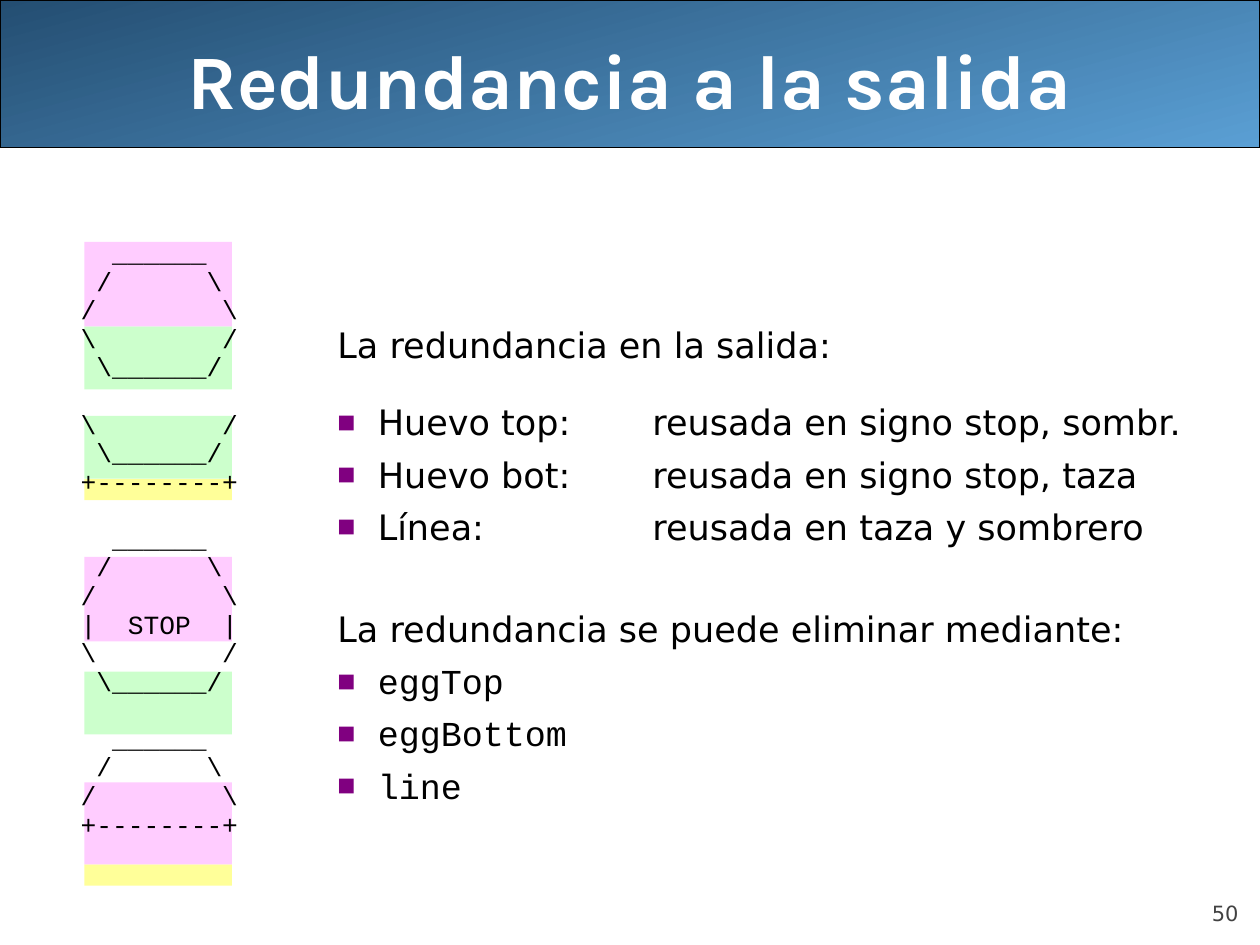
from pptx import Presentation
from pptx.dml.color import RGBColor
from pptx.enum.shapes import MSO_SHAPE as SHAPE
from pptx.enum.text import MSO_ANCHOR as ANCHOR, PP_ALIGN as ALIGN
from pptx.oxml.ns import qn
from pptx.util import Inches, Pt
from lxml import etree

SANS, MONO = "DejaVu Sans", "Courier New"
PINK, GREEN, YELLOW = "FFCCFF", "CCFFCC", "FFFF99"


def rgb(value):
    """Turn a hex string into a colour."""
    return RGBColor.from_string(value)


def add_text(p, text, size, font, color="000000", bold=False):
    """Add one formatted run to a paragraph."""
    r = p.add_run()
    r.text = text
    formats = {"size": Pt(size), "name": font, "bold": bold}
    for name, value in formats.items():
        setattr(r.font, name, value)
    r.font.color.rgb = rgb(color)


prs = Presentation()
prs.slide_width, prs.slide_height = Inches(10), Inches(7.5)
s = prs.slides.add_slide(prs.slide_layouts[5])

# Header band and title
band = s.shapes.add_shape(SHAPE.RECTANGLE, 0, 0, Inches(10), Inches(1.17))
band.shadow.inherit = False
band.fill.gradient()
band.fill.gradient_angle = 105
for stop, color in zip(band.fill.gradient_stops, ("5A9FD4", "244E72")):
    stop.color.rgb = rgb(color)
band.line.color.rgb = rgb("000000")
band.line.width = Pt(0.74)

title = s.shapes.title
title.left, title.top, title.width, title.height = (
    Inches(v) for v in (0.5, 0, 9, 1.25))
tf = title.text_frame
tf.vertical_anchor = ANCHOR.MIDDLE
tf.paragraphs[0].alignment = ALIGN.CENTER
add_text(tf.paragraphs[0], "Redundancia a la salida", 44, "Karla", "FFFFFF", True)
s.shapes._spTree.append(title._element)  # in front of the band

# Coloured marks behind the figures
marks = [
    (6.86, 0.17, YELLOW), (3.8, 0.17, YELLOW),
    (5.33, 0.5, GREEN), (3.3, 0.5, GREEN), (2.59, 0.5, GREEN),
    (4.42, 0.67, PINK), (6.21, 0.65, PINK), (1.92, 0.67, PINK),
]
for top, height, color in marks:
    sp = s.shapes.add_shape(SHAPE.RECTANGLE, Inches(0.67), Inches(top),
                            Inches(1.17), Inches(height))
    sp.shadow.inherit = False
    sp.fill.solid()
    sp.fill.fore_color.rgb = rgb(color)
    sp.line.fill.background()

# Explanation
items = [  # text, font, bulleted, space before
    ("La redundancia en la salida:", SANS, False, 0),
    ("Huevo top:\treusada en signo stop, sombr.", SANS, True, 20.1),
    ("Huevo bot:\treusada en signo stop, taza", SANS, True, 5.8),
    ("Línea:\treusada en taza y sombrero", SANS, True, 5.8),
    ("La redundancia se puede eliminar mediante:", SANS, False, 34.4),
    ("eggTop", MONO, True, 5.8),
    ("eggBottom", MONO, True, 5.8),
    ("line", MONO, True, 5.8),
]
box = s.shapes.add_textbox(Inches(2.58), Inches(2.5), Inches(7), Inches(3.86))
tf = box.text_frame
tf.word_wrap = True
tf.margin_top = Inches(0.07)
for i, (text, font, bulleted, before) in enumerate(items):
    p = tf.add_paragraph() if i else tf.paragraphs[0]
    p.space_before = Pt(before)
    add_text(p, text, 20, font)
    if bulleted:
        pPr = p._p.get_or_add_pPr()
        pPr.set("marL", str(Inches(0.32)))
        pPr.set("indent", str(-Inches(0.32)))
        color = etree.SubElement(pPr, qn("a:buClr"))
        etree.SubElement(color, qn("a:srgbClr"), val="800080")
        etree.SubElement(pPr, qn("a:buSzPct"), val="55000")
        etree.SubElement(pPr, qn("a:buFont"), typeface=SANS)
        etree.SubElement(pPr, qn("a:buChar"), char="■")
        tabs = etree.SubElement(pPr, qn("a:tabLst"))
        etree.SubElement(tabs, qn("a:tab"), pos=str(Inches(2.5)), algn="l")

# Figures drawn with characters
egg_top = ["  ______", " /      \\", "/        \\"]
egg_bottom = ["\\        /", " \\______/"]
line = ["+--------+"]
figures = [
    egg_top + egg_bottom,
    egg_bottom + line,
    egg_top + ["|  STOP  |"] + egg_bottom,
    egg_top + line,
]
pitch = Pt(16.33)
box = s.shapes.add_textbox(Inches(0.17), Inches(1.42), Inches(2.25), Inches(5.67))
tf = box.text_frame
tf.word_wrap = True
tf.margin_left, tf.margin_top = Inches(0.47), Inches(0.48)
p = tf.paragraphs[0]
for f, figure in enumerate(figures):
    for i, row in enumerate(figure):
        if f or i:
            p = tf.add_paragraph()
        p.line_spacing = pitch
        p.space_before = pitch if f and i == 0 else 0
        add_text(p, row, 15, MONO)

# Slide number
box = s.shapes.add_textbox(Inches(9), Inches(6.95), Inches(0.83), Inches(0.4))
tf = box.text_frame
tf.vertical_anchor = ANCHOR.BOTTOM
for side in ("left", "top", "right", "bottom"):
    setattr(tf, "margin_" + side, 0)
tf.paragraphs[0].alignment = ALIGN.RIGHT
add_text(tf.paragraphs[0], "50", 12, SANS, "424242")

prs.save("out.pptx")
